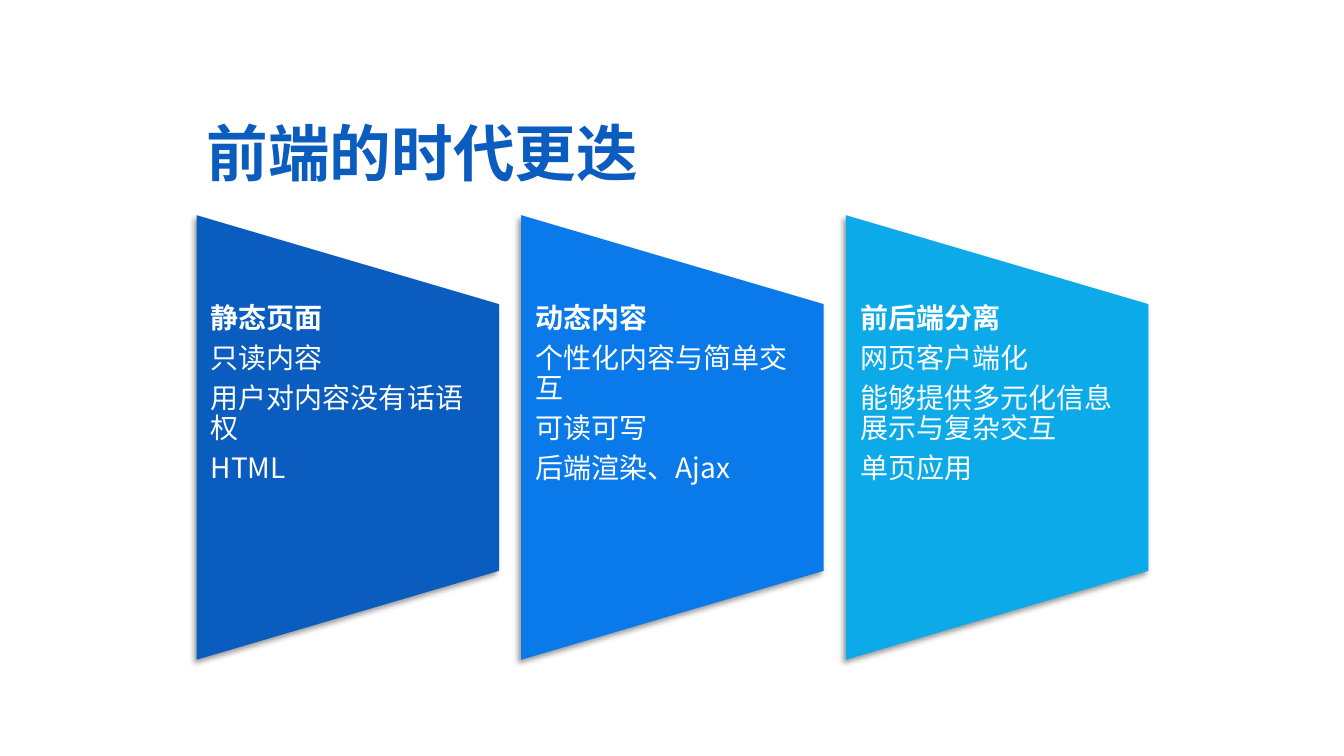
from lxml.etree import SubElement
from pptx import Presentation
from pptx.dml.color import RGBColor
from pptx.enum.shapes import MSO_SHAPE
from pptx.enum.text import MSO_ANCHOR, PP_ALIGN
from pptx.oxml import parse_xml
from pptx.oxml.ns import nsdecls, qn
from pptx.util import Inches, Pt

FONT = "Noto Sans CJK SC"
LEFT, STEP, WIDE = 1.95, 3.22, 3
TALL, MID = 4.41, 4.34
BODY = 2.65
SHADE = (
    f'<a:outerShdw {nsdecls("a")} blurRad="50800" dist="38100" dir="8100000" '
    'algn="tr" rotWithShape="0"><a:srgbClr val="000000">'
    '<a:alpha val="40000"/></a:srgbClr></a:outerShdw>'
)
ERAS = [
    ("0A5CBF", ["静态页面", "只读内容", "用户对内容没有话语权", "HTML"]),
    ("0A7AEA", ["动态内容", "个性化内容与简单交互", "可读可写", "后端渲染、Ajax"]),
    ("0CAAE8", ["前后端分离", "网页客户端化", "能够提供多元化信息展示与复杂交互", "单页应用"]),
]


def paint(fill, color):
    fill.solid()
    fill.fore_color.rgb = RGBColor.from_string(color)


def write(para, text, size, color, bold):
    para.alignment = PP_ALIGN.LEFT
    para.line_spacing = 0.9
    run = para.add_run()
    run.text = text
    font = run.font
    font.size, font.bold, font.name = Pt(size), bold, FONT
    paint(font.fill, color)
    SubElement(font._element, qn("a:ea")).set("typeface", FONT)


deck = Presentation()
deck.slide_width, deck.slide_height = Inches(13.33), Inches(7.5)
slide = deck.slides.add_slide(deck.slide_layouts[5])
paint(slide.background.fill, "FFFFFF")

title = slide.shapes.title
title.left, title.top = Inches(LEFT), Inches(1.12)
title.width, title.height = Inches(9.65), Inches(0.87)
title.text_frame.vertical_anchor = MSO_ANCHOR.MIDDLE
write(title.text_frame.paragraphs[0], "前端的时代更迭", 44, "0A5CBF", True)

for col, (color, lines) in enumerate(ERAS):
    left = LEFT + col * STEP
    panel = slide.shapes.add_shape(
        MSO_SHAPE.FLOWCHART_MANUAL_OPERATION,
        Inches(left + (WIDE - TALL) / 2), Inches(MID - WIDE / 2),
        Inches(TALL), Inches(WIDE),
    )
    panel.rotation = 270
    paint(panel.fill, color)
    panel.line.fill.background()
    panel.shadow.inherit = False
    panel._element.spPr.find(qn("a:effectLst")).append(parse_xml(SHADE))

    box = slide.shapes.add_textbox(
        Inches(left), Inches(MID - BODY / 2), Inches(WIDE), Inches(BODY)
    )
    frame = box.text_frame
    frame.word_wrap = True
    frame.vertical_anchor = MSO_ANCHOR.TOP
    frame.margin_left = frame.margin_right = Inches(0.14)
    frame.margin_top = frame.margin_bottom = 0
    for row, line in enumerate(lines):
        para = frame.add_paragraph() if row else frame.paragraphs[0]
        para.space_after = Pt(7)
        write(para, line, 20, "FFFFFF", row == 0)

deck.save("out.pptx")
